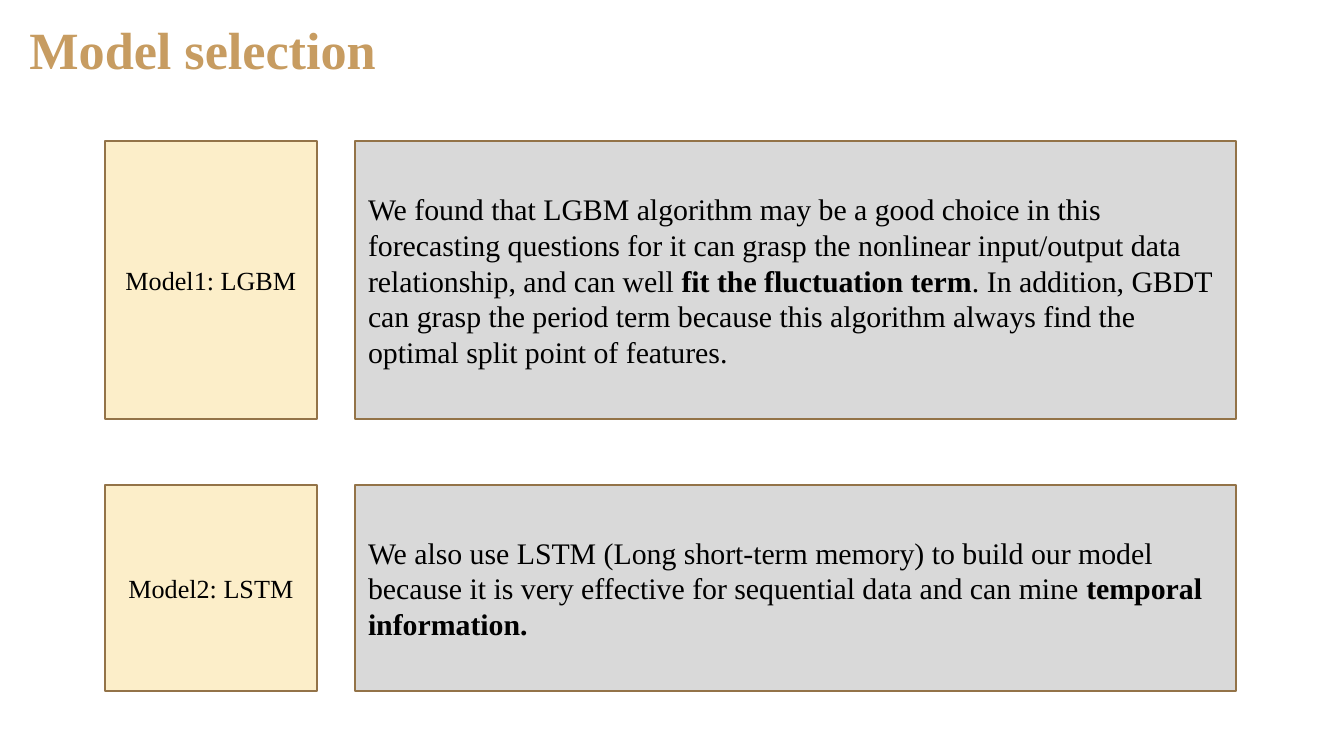
"""Build the model selection slide with two labelled model rows."""
from dataclasses import dataclass

from pptx import Presentation
from pptx.dml.color import RGBColor
from pptx.enum.shapes import MSO_SHAPE
from pptx.enum.text import MSO_ANCHOR, PP_ALIGN
from pptx.slide import Slide
from pptx.text.text import _Paragraph
from pptx.util import Inches, Pt

RECT = MSO_SHAPE.RECTANGLE
MIDDLE, BOTTOM = MSO_ANCHOR.MIDDLE, MSO_ANCHOR.BOTTOM
LEFT, CENTER = PP_ALIGN.LEFT, PP_ALIGN.CENTER
FONT = "Times New Roman"
GOLD, BROWN, CREAM, GREY, BLACK = "C79C61", "937348", "FCEEC9", "D9D9D9", "000000"


@dataclass
class Span:
    text: str
    bold: bool = False


@dataclass
class Model:
    label: str
    top: float
    height: float
    spans: list[Span]


@dataclass
class Column:
    left: float
    width: float
    fill: str
    size: int
    align: PP_ALIGN


LABEL = Column(0.78, 1.58, CREAM, 14, CENTER)
DETAIL = Column(2.64, 6.56, GREY, 16, LEFT)

MODELS = [
    Model("Model1: LGBM", 1.05, 2.07, [
        Span("We found that LGBM algorithm may be a good choice in this "
             "forecasting questions for it can grasp the nonlinear input/output "
             "data relationship, and can well "),
        Span("fit the fluctuation term", True),
        Span(". In addition, GBDT can grasp the period term because this "
             "algorithm always find the optimal split point of features."),
    ]),
    Model("Model2: LSTM", 3.61, 1.53, [
        Span("We also use LSTM (Long short-term memory) to build our model "
             "because it is very effective for sequential data and can mine "),
        Span("temporal information.", True),
    ]),
]


def color(code: str) -> RGBColor:
    return RGBColor.from_string(code)


def add_runs(para: _Paragraph, spans: list[Span], size: int, code: str) -> None:
    for span in spans:
        run = para.add_run()
        run.text = span.text
        font = run.font
        font.name, font.size, font.bold = FONT, Pt(size), span.bold
        font.color.rgb = color(code)


def add_title(slide: Slide, text: str) -> None:
    box = slide.shapes.add_textbox(Inches(0.12), Inches(0.07), Inches(9.32), Inches(0.63))
    frame = box.text_frame
    frame.word_wrap = True
    frame.vertical_anchor = BOTTOM
    frame.margin_left = frame.margin_right = Inches(0.1)
    frame.margin_top = frame.margin_bottom = Inches(0.1)
    para = frame.paragraphs[0]
    para.line_spacing = 0.9
    add_runs(para, [Span(text, True)], 28, GOLD)


def add_box(slide: Slide, col: Column, model: Model, spans: list[Span]) -> None:
    box = slide.shapes.add_shape(RECT, Inches(col.left), Inches(model.top),
                                 Inches(col.width), Inches(model.height))
    box.shadow.inherit = False
    box.fill.solid()
    box.fill.fore_color.rgb = color(col.fill)
    box.line.color.rgb = color(BROWN)
    box.line.width = Pt(1)
    frame = box.text_frame
    frame.word_wrap = True
    frame.vertical_anchor = MIDDLE
    para = frame.paragraphs[0]
    para.alignment = col.align
    add_runs(para, spans, col.size, BLACK)


def main() -> None:
    deck = Presentation()
    deck.slide_width = Inches(10)
    deck.slide_height = deck.slide_width * 9 // 16
    slide = deck.slides.add_slide(deck.slide_layouts[6])
    add_title(slide, "Model selection")
    for model in MODELS:
        add_box(slide, DETAIL, model, model.spans)
    for model in MODELS:
        add_box(slide, LABEL, model, [Span(model.label)])
    deck.save("out.pptx")


if __name__ == "__main__":
    main()
